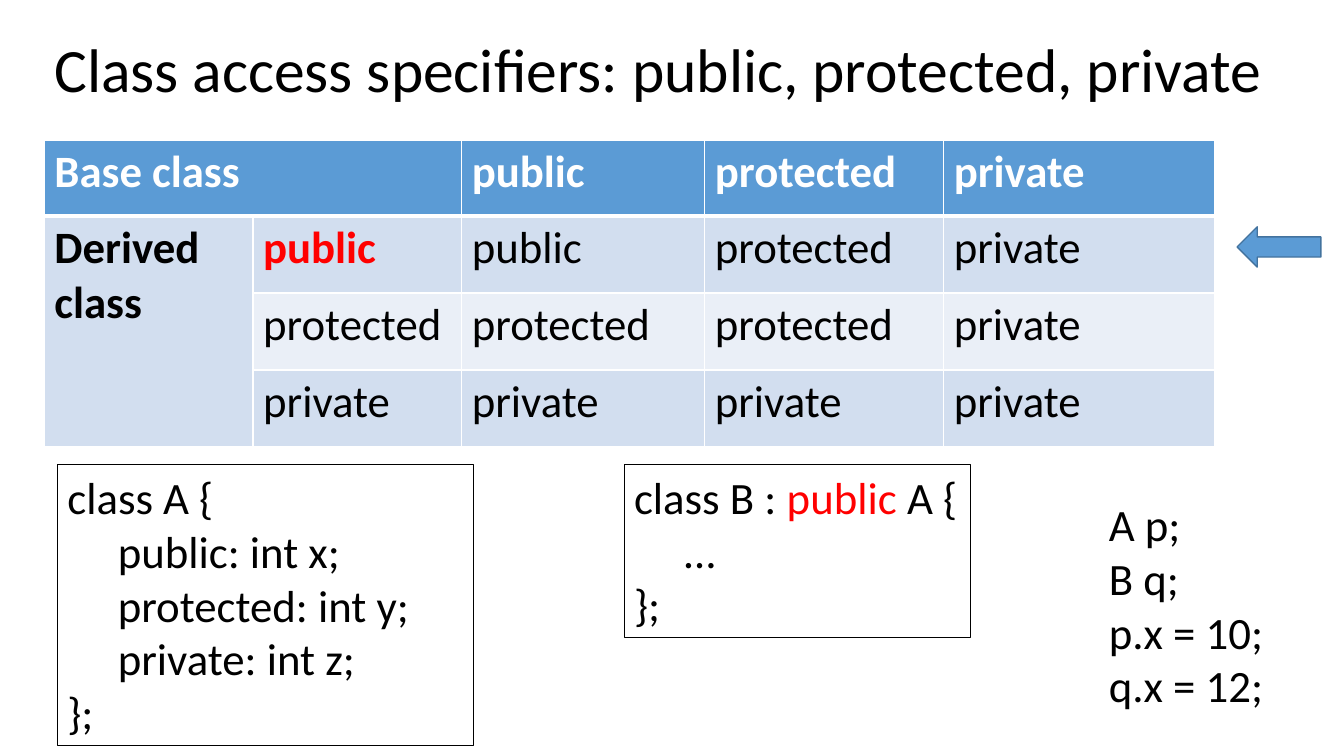
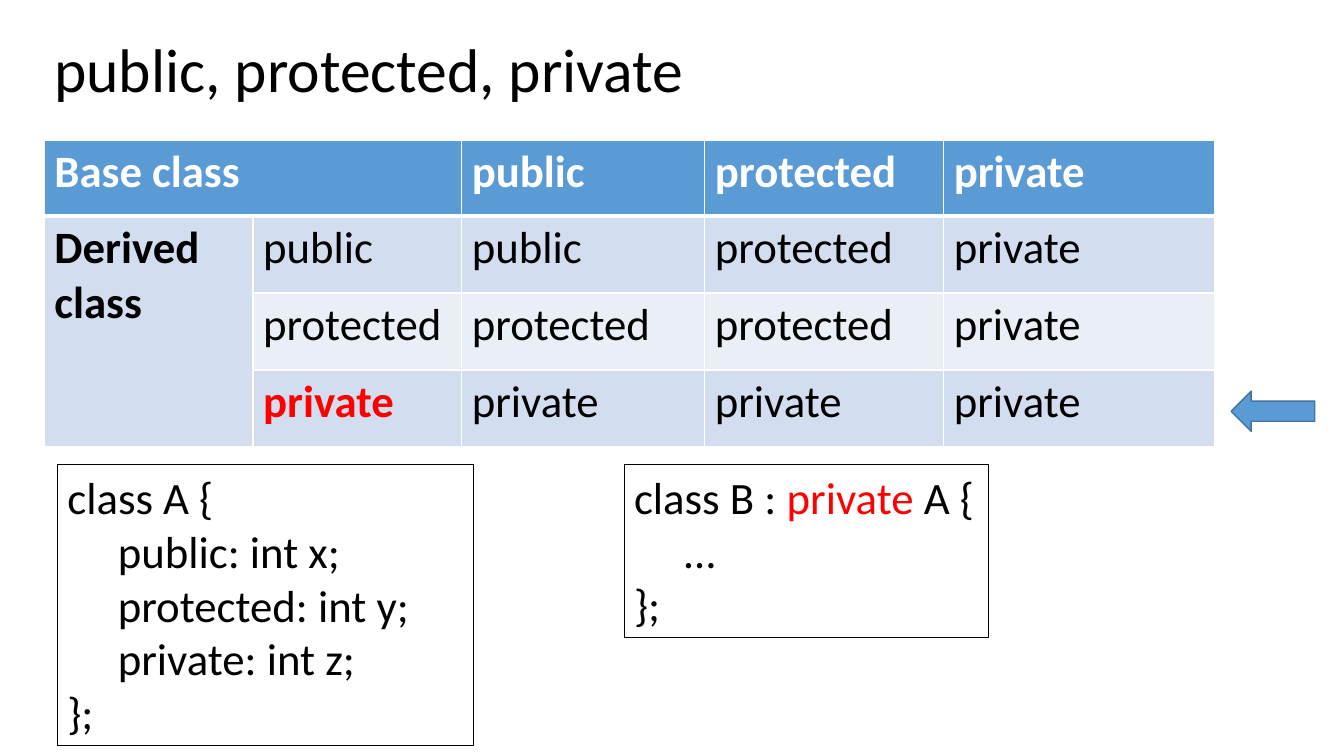
from dataclasses import dataclass

from lxml.etree import SubElement
from pptx import Presentation
from pptx.dml.color import RGBColor
from pptx.enum.shapes import MSO_SHAPE as Shape
from pptx.enum.text import MSO_ANCHOR as Anchor, MSO_AUTO_SIZE as AutoSize
from pptx.oxml.ns import qn
from pptx.util import Inches, Pt


@dataclass(frozen=True)
class Theme:
    """Colours, type and line sizes shared by the slides."""
    font: str = "Calibri"
    title_size: int = 44
    body_size: int = 32
    ink: str = "000000"
    paper: str = "FFFFFF"
    accent: str = "FF0000"
    header: str = "5B9BD5"
    bands: tuple = ("D2DEEF", "EAEFF7")
    arrow_line: str = "43739E"
    thin: float = 0.75
    rule: float = 1
    thick_rule: float = 3


@dataclass(frozen=True)
class Box:
    """A rectangle measured in inches."""
    left: float
    top: float
    width: float
    height: float

    def inner(self, left, top, width, height):
        """Return an inner box given as percentages of this one."""
        return Box(self.left + self.width * left / 100, self.top + self.height * top / 100,
                   self.width * width / 100, self.height * height / 100)

    def place(self):
        """Return the four lengths that python-pptx expects."""
        return [Inches(size) for size in (self.left, self.top, self.width, self.height)]


@dataclass(frozen=True)
class AccessCase:
    """What differs between the slides on inheritance access."""
    title: str
    title_width: float
    access: str
    derived_width: float
    arrow_at: tuple
    usage: tuple = ()


THEME = Theme()
SLIDE = Box(0, 0, 13.333, 7.5)
LEVELS = ("public", "protected", "private")
COLUMNS = (2.07, 2.07, 2.41, 2.37, 2.69)
ROWS = (0.75, 0.76, 0.76, 0.76)
BASE_CLASS = ("class A {", "\tpublic: int x;", "\tprotected: int y;", "\tprivate: int z;", "};")
CASES = (
    AccessCase("Class access specifiers: public, protected, private", 96.7, "public", 25.8,
               (92.05, 30), ("A p;", "B q;", "p.x = 10;", "q.x = 12;")),
    AccessCase("public, protected, private", 86.3, "private", 27.1, (91.6, 51.73)),
)


def colour(code):
    """Turn a hex code into a colour."""
    return RGBColor.from_string(code)


def style(para, size, ink=THEME.ink, bold=False):
    """Set the font of a whole paragraph."""
    para.font.name = THEME.font
    para.font.size = Pt(size)
    para.font.bold = bold
    para.font.color.rgb = colour(ink)


def add_title(page, box, text):
    """Write the slide title, centred vertically in its box."""
    frame = page.shapes.add_textbox(*box.place()).text_frame
    frame.word_wrap = True
    frame.vertical_anchor = Anchor.MIDDLE
    para = frame.paragraphs[0]
    para.text = text
    para.line_spacing = 0.9
    style(para, THEME.title_size)


def add_code(page, box, lines, accent="", framed=True):
    """Write lines of code, with one word picked out in the accent colour."""
    shape = page.shapes.add_textbox(*box.place())
    if framed:
        shape.line.color.rgb = colour(THEME.ink)
        shape.line.width = Pt(THEME.thin)
    frame = shape.text_frame
    frame.word_wrap = False
    frame.auto_size = AutoSize.SHAPE_TO_FIT_TEXT
    for index, line in enumerate(lines):
        para = frame.add_paragraph() if index else frame.paragraphs[0]
        for piece in line.partition(accent) if accent else (line,):
            if piece:
                span = para.add_run()
                span.text = piece
                if piece == accent:
                    span.font.color.rgb = colour(THEME.accent)
        style(para, THEME.body_size)


def add_arrow(page, box):
    """Draw the arrow that points at a table row."""
    arrow = page.shapes.add_shape(Shape.LEFT_ARROW, *box.place())
    arrow.shadow.inherit = False
    arrow.fill.solid()
    arrow.fill.fore_color.rgb = colour(THEME.header)
    arrow.line.color.rgb = colour(THEME.arrow_line)
    arrow.line.width = Pt(THEME.rule)


def set_borders(cell, top, bottom):
    """Give a cell white borders with the given top and bottom widths."""
    properties = cell._tc.get_or_add_tcPr()
    for side, width in zip("LRTB", (THEME.rule, THEME.rule, top, bottom)):
        line = SubElement(properties, qn(f"a:ln{side}"), w=str(Pt(width)))
        SubElement(SubElement(line, qn("a:solidFill")), qn("a:srgbClr"), val=THEME.paper)


def fill_cell(cell, row, column, access):
    """Write and style one cell of the access table."""
    header, highlighted = row == 0, column == 1 and row > 0 and LEVELS[row - 1] == access
    set_borders(cell, THEME.thick_rule if row == 1 else THEME.rule,
                THEME.thick_rule if header else THEME.rule)
    cell.fill.solid()
    band = THEME.bands[0 if column == 0 else (row - 1) % 2]
    cell.fill.fore_color.rgb = colour(THEME.header if header else band)
    if cell.is_spanned:
        return
    if column == 0:
        cell.text = "Base class" if header else "Derived\nclass"
    else:
        cell.text = LEVELS[max(row - 1, column - 2)]
    ink = THEME.paper if header else THEME.accent if highlighted else THEME.ink
    for para in cell.text_frame.paragraphs:
        style(para, THEME.body_size, ink, header or highlighted or column == 0)


def add_access_table(page, box, access):
    """Tabulate the member access that results from each kind of inheritance."""
    table = page.shapes.add_table(len(ROWS), len(COLUMNS), *box.place()).table
    table.horz_banding = False
    for column, share in zip(table.columns, COLUMNS):
        column.width = Inches(box.width * share / sum(COLUMNS))
    for row, share in zip(table.rows, ROWS):
        row.height = Inches(box.height * share / sum(ROWS))
    table.cell(0, 0).merge(table.cell(0, 1))
    table.cell(1, 0).merge(table.cell(len(ROWS) - 1, 0))
    for row in range(len(ROWS)):
        for column in range(len(COLUMNS)):
            fill_cell(table.cell(row, column), row, column, access)


def add_access_slide(deck, box, case):
    """Build a slide on one kind of inheritance."""
    page = deck.slides.add_slide(deck.slide_layouts[6])
    derived_class = (f"class B : {case.access} A {{", "\t…", "};")
    add_title(page, box.inner(3.3, 0, case.title_width, 19.33), case.title)
    add_access_table(page, box.inner(3.3, 18.53, 87.1, 40.6), case.access)
    add_code(page, box.inner(46.44, 61.47, case.derived_width, 22.93), derived_class, case.access)
    add_code(page, box.inner(4.28, 61.47, 30.98, 37.2), BASE_CLASS)
    add_arrow(page, box.inner(*case.arrow_at, 6.23, 5.33))
    if case.usage:
        add_code(page, box.inner(81.77, 65.07, 13.43, 30.13), case.usage, framed=False)


def main():
    """Build and save the deck."""
    deck = Presentation()
    deck.slide_width, deck.slide_height = SLIDE.place()[2:]
    for case in CASES:
        add_access_slide(deck, SLIDE, case)
    deck.save("out.pptx")


if __name__ == "__main__":
    main()
